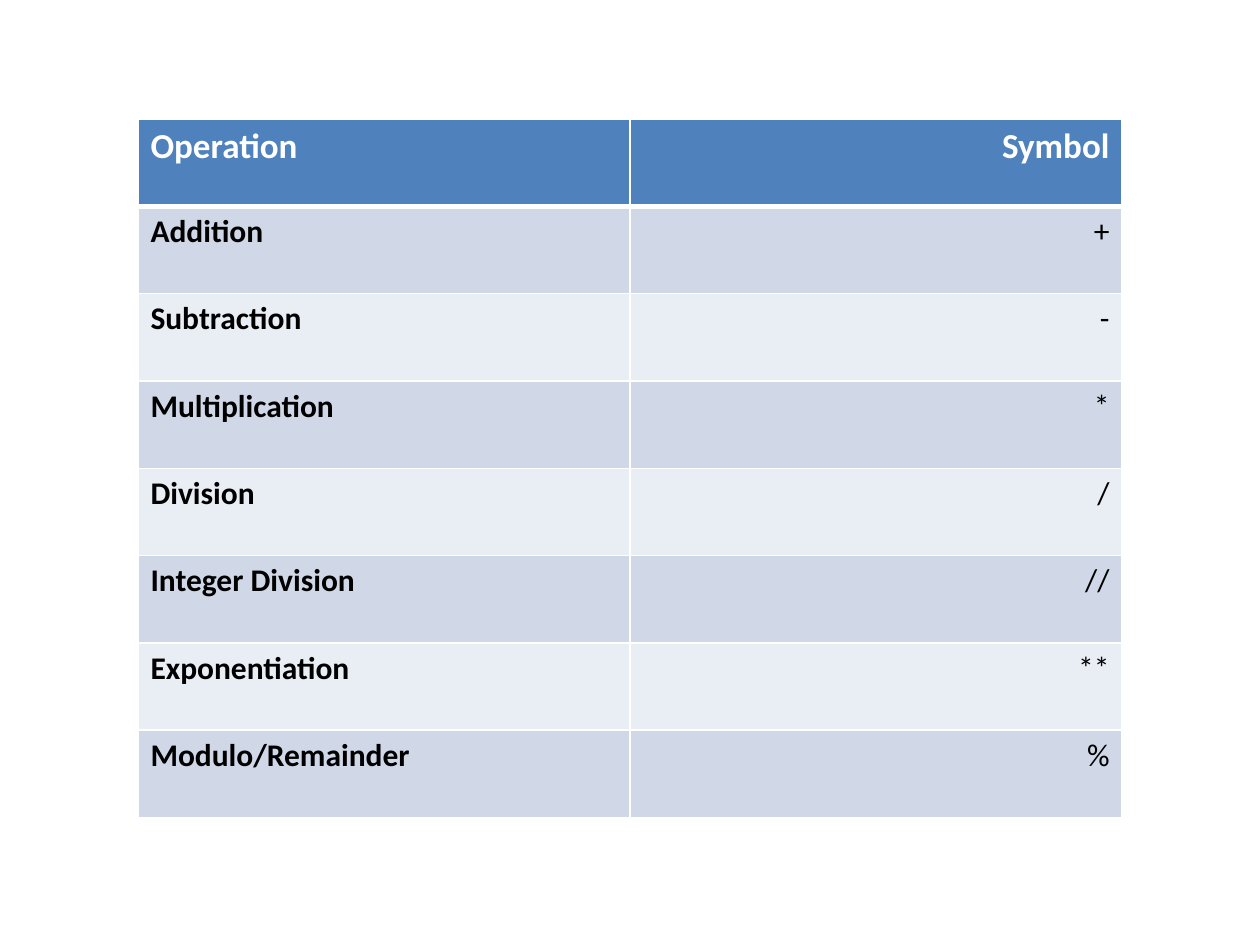
from lxml import etree
from pptx import Presentation
from pptx.dml.color import RGBColor
from pptx.enum import text
from pptx.oxml import ns
from pptx.util import Cm, Pt

OPERATIONS = [
    ("Addition", "+"),
    ("Subtraction", "-"),
    ("Multiplication", "*"),
    ("Division", "/"),
    ("Integer Division", "//"),
    ("Exponentiation", "**"),
    ("Modulo/Remainder", "%"),
]
HEADER_FILL = "4F81BD"
BAND_FILLS = ("D0D8E8", "E9EDF4")
WHITE, BLACK = "FFFFFF", "000000"


def color(value):
    """Turn a hex string into a colour."""
    return RGBColor.from_string(value)


def write_text(cell, content, size=18, bold=False, font_color=BLACK, align=text.PP_ALIGN.LEFT):
    """Write one formatted line into a cell."""
    paragraph = cell.text_frame.paragraphs[0]
    paragraph.alignment = align
    run = paragraph.add_run()
    run.text = content
    run.font.name = "Calibri"
    run.font.size = Pt(size)
    run.font.bold = bold
    run.font.color.rgb = color(font_color)


def set_borders(cell, **widths):
    """Draw white cell borders, with widths in points by side."""
    properties = cell._tc.get_or_add_tcPr()
    for side in "LRTB":
        width = Pt(widths.get(side, 1))
        line = etree.SubElement(properties, ns.qn(f"a:ln{side}"), w=str(width))
        fill = etree.SubElement(line, ns.qn("a:solidFill"))
        etree.SubElement(fill, ns.qn("a:srgbClr"), val=WHITE)


def fill_row(row, contents, fill, bolds, borders, **text_format):
    """Format a row with its label on the left and its symbol on the right."""
    aligns = (text.PP_ALIGN.LEFT, text.PP_ALIGN.RIGHT)
    for cell, content, bold, align in zip(row.cells, contents, bolds, aligns):
        set_borders(cell, **borders)
        cell.fill.solid()
        cell.fill.fore_color.rgb = color(fill)
        write_text(cell, content, bold=bold, align=align, **text_format)


def add_operations_table(slide):
    """Add the table of arithmetic operations and their symbols."""
    row_count = len(OPERATIONS) + 1
    frame = slide.shapes.add_table(
        row_count, 2, Cm(2.78), Cm(2.4), Cm(19.84), Cm(1.76) * row_count
    )
    header, *body = frame.table.rows
    fill_row(header, ("Operation", "Symbol"), HEADER_FILL, (True, True), {"B": 3},
             size=20, font_color=WHITE)
    for index, (row, operation) in enumerate(zip(body, OPERATIONS)):
        borders = {"T": 3} if index == 0 else {}
        fill_row(row, operation, BAND_FILLS[index % 2], (True, False), borders)


def main():
    """Build and save the presentation."""
    presentation = Presentation()
    presentation.slide_width, presentation.slide_height = Cm(25.4), Cm(19.05)
    slide = presentation.slides.add_slide(presentation.slide_layouts[6])
    add_operations_table(slide)
    presentation.save("out.pptx")


if __name__ == "__main__":
    main()
